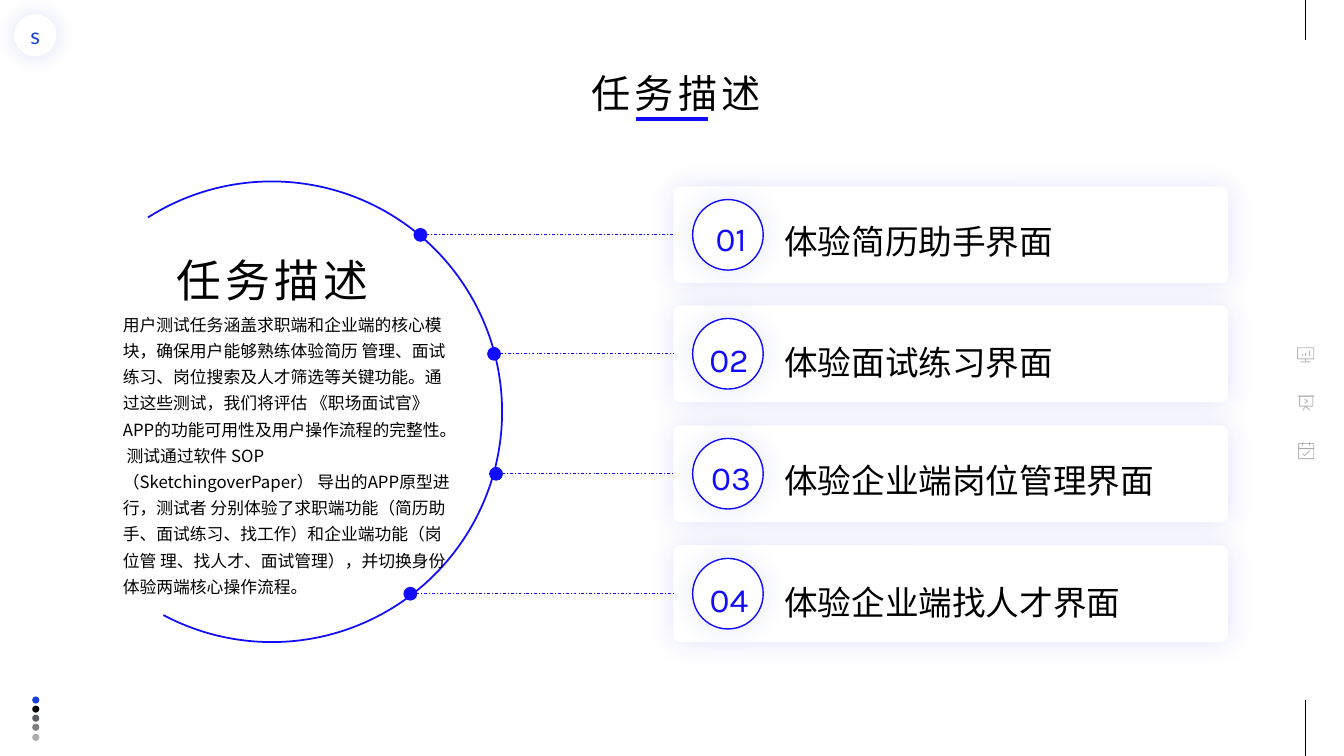
from lxml import etree
from pptx import Presentation
from pptx import util as u
from pptx.dml.color import RGBColor
from pptx.enum import dml, shapes, text
from pptx.oxml.ns import qn

PX = 9144  # 100 px to the inch
THEME = {
    "accent": "120CFC", "brand": "1840D5", "paper": "FFFFFF", "ink": "000000", "icon": "A6A6A6",
    "dots": ["1840D5", "000002", "5A5C64", "808080", "AEABAB"],
    "cjk": "Noto Sans CJK SC", "number": "Karla", "badge": "Lato",
    "heading": 32, "title": 28, "item": 24, "badge_size": 16, "body": 12,
}
OVAL = shapes.MSO_SHAPE.OVAL
CENTER = text.PP_ALIGN.CENTER
MIDDLE = text.MSO_ANCHOR.MIDDLE

deck = Presentation()
deck.slide_width, deck.slide_height = 1333 * PX, 750 * PX
page = deck.slides.add_slide(deck.slide_layouts[6])
canvas = page.shapes


def paint(item, fill=None, line=None, width=1, shadow=None):
    """Set fill, line and glow; shadow is (colour, opacity %, blur pt)."""
    if hasattr(item, "fill"):
        if fill:
            item.fill.solid()
            item.fill.fore_color.rgb = RGBColor.from_string(fill)
        else:
            item.fill.background()
    if line:
        item.line.color.rgb = RGBColor.from_string(line)
        item.line.width = u.Pt(width)
    else:
        item.line.fill.background()
    effects = etree.SubElement(item._element.spPr, qn("a:effectLst"))
    if shadow:
        colour, opacity, blur = shadow
        glow = etree.SubElement(effects, qn("a:outerShdw"), blurRad=str(u.Pt(blur)),
                                dist="0", dir="0", algn="ctr", rotWithShape="0")
        tint = etree.SubElement(glow, qn("a:srgbClr"), val=colour)
        etree.SubElement(tint, qn("a:alpha"), val=str(opacity * 1000))
    return item


def write(box, words, size, font, colour, align=None, anchor=text.MSO_ANCHOR.TOP,
          leading=None, tracking=0, grow=True):
    frame = box.text_frame
    frame.word_wrap = True
    frame.vertical_anchor = anchor
    if grow:
        frame.auto_size = text.MSO_AUTO_SIZE.SHAPE_TO_FIT_TEXT
    para = frame.paragraphs[0]
    para.text = words
    para.alignment = align
    para.line_spacing = leading
    para.font.size = u.Pt(size)
    para.font.color.rgb = RGBColor.from_string(colour)
    para.font.name = font
    defaults = para._p.pPr.find(qn("a:defRPr"))
    etree.SubElement(defaults, qn("a:ea"), typeface=font)
    if tracking:
        defaults.set("spc", str(tracking * 100))


# Side icons: chart board, projector screen, calendar
icon_strokes = [
    [(1290, 356), (1287, 356), (1287, 345), (1303, 345), (1303, 356), (1300, 356), (1290, 356)],
    [(1292, 351), (1292, 353)], [(1295, 356), (1295, 358)], [(1295, 350), (1295, 353)],
    [(1299, 348), (1299, 353)], [(1290, 359), (1300, 359)],
    [(1287, 393), (1304, 393)],
    [(1289, 393), (1302, 393), (1302, 403), (1289, 403), (1289, 393)],
    [(1294, 396), (1297, 398), (1294, 400)],
    [(1292, 407), (1295, 403), (1299, 407)],
    [(1288, 445), (1303, 445), (1303, 455), (1288, 455), (1288, 445)],
    [(1288, 440), (1303, 440), (1303, 445), (1288, 445), (1288, 440)],
    [(1292, 450), (1294, 452), (1299, 447)],
    [(1292, 439), (1292, 442)], [(1299, 439), (1299, 442)],
]
for points in icon_strokes:
    if len(points) == 2:
        ends = [value * PX for point in points for value in point]
        stroke = canvas.add_connector(shapes.MSO_CONNECTOR.STRAIGHT, *ends)
    else:
        outline = canvas.build_freeform(*points[0], scale=PX)
        outline.add_line_segments(points[1:], close=points[0] == points[-1])
        stroke = outline.convert_to_shape()
    paint(stroke, line=THEME["icon"], width=0.66)
    tint = stroke._element.spPr.find(qn("a:ln")).find(".//" + qn("a:srgbClr"))
    etree.SubElement(tint, qn("a:alpha"), val="78000")

# Edge rules and title underline
rules = [(1295, 0, 1295, 40, 0.5, THEME["ink"]), (1295, 694, 1295, 750, 0.5, THEME["ink"]),
         (631, 118, 702, 118, 2.25, THEME["accent"])]
for *ends, width, colour in rules:
    rule = canvas.add_connector(shapes.MSO_CONNECTOR.STRAIGHT, *[value * PX for value in ends])
    paint(rule, line=colour, width=width)

# Page dots and corner badge
for row, colour in enumerate(THEME["dots"]):
    dot = canvas.add_shape(OVAL, 32 * PX, (691 + row * 37 // 4) * PX, 7 * PX, 7 * PX)
    paint(dot, fill=colour)
badge = canvas.add_shape(OVAL, 14 * PX, 14 * PX, 42 * PX, 42 * PX)
paint(badge, fill=THEME["paper"], shadow=(THEME["brand"], 15, 15))
write(badge, "s", THEME["badge_size"], THEME["badge"], THEME["brand"], CENTER, MIDDLE, grow=False)

# Large arc
arc = canvas.add_shape(shapes.MSO_SHAPE.ARC, 41 * PX, 180 * PX, 457 * PX, 457 * PX)
arc.adjustments[0], arc.adjustments[1] = 162, 90.32
arc.rotation = 327.5
paint(arc, line=THEME["accent"], width=1.25)

# Task cards, each tied to the arc: (label, x of the dot on the arc)
tasks = [("体验简历助手界面", 417), ("体验面试练习界面", 490),
         ("体验企业端岗位管理界面", 492), ("体验企业端找人才界面", 407)]
for row, (label, dot_x) in enumerate(tasks):
    top = 185 + row * 356 // 3
    nudge = row % 2 * 2
    card = canvas.add_shape(shapes.MSO_SHAPE.ROUNDED_RECTANGLE,
                            668 * PX, top * PX, 550 * PX, 96 * PX)
    card.adjustments[0] = 0.07
    paint(card, fill=THEME["paper"], shadow=(THEME["accent"], 11, 20))

    middle = (top + 48) * PX
    leader = canvas.add_connector(shapes.MSO_CONNECTOR.STRAIGHT,
                                  dot_x * PX, middle, 668 * PX, middle)
    leader.end_connect(card, 1)
    paint(leader, line=THEME["accent"], width=0.5)
    leader.line.dash_style = dml.MSO_LINE.DASH_DOT
    etree.SubElement(leader._element.spPr.find(qn("a:ln")), qn("a:headEnd"),
                     type="oval", w="lg", len="lg")

    ring = canvas.add_shape(OVAL, 687 * PX, (top + 13) * PX, 70 * PX, 70 * PX)
    paint(ring, fill=THEME["paper"], line=THEME["accent"], shadow=(THEME["brand"], 11, 20))
    number = canvas.add_textbox((689 - nudge) * PX, (top + 26 + nudge) * PX, 72 * PX, 50 * PX)
    write(number, f"{row + 1:02}", THEME["item"], THEME["number"], THEME["accent"], CENTER)
    caption = canvas.add_textbox(768 * PX, (top + 20 + nudge) * PX, 453 * PX, 57 * PX)
    write(caption, label, THEME["item"], THEME["cjk"], THEME["ink"], anchor=MIDDLE, leading=1.3)

# Description inside the arc
body = canvas.add_textbox(112 * PX, 314 * PX, 344 * PX, 270 * PX)
write(body, "用户测试任务涵盖求职端和企业端的核心模块，确保用户能够熟练体验简历 管理、面试练习、"
      "岗位搜索及人才筛选等关键功能。通过这些测试，我们将评估 《职场面试官》APP的功能可用性及"
      "用户操作流程的完整性。 测试通过软件 SOP（SketchingoverPaper） 导出的APP原型进行，"
      "测试者 分别体验了求职端功能（简历助手、面试练习、找工作）和企业端功能（岗位管 理、找人才、"
      "面试管理），并切换身份体验两端核心操作流程。",
      THEME["body"], THEME["cjk"], THEME["ink"], anchor=MIDDLE, leading=1.3)
heading = canvas.add_textbox(159 * PX, 246 * PX, 222 * PX, 64 * PX)
write(heading, "任务描述", THEME["heading"], THEME["cjk"], THEME["ink"], CENTER, tracking=3)

# Page title
title = canvas.add_textbox(566 * PX, 69 * PX, 209 * PX, 53 * PX)
write(title, "任务描述", THEME["title"], THEME["cjk"], THEME["ink"], CENTER, leading=0.9, tracking=3)

deck.save("out.pptx")
